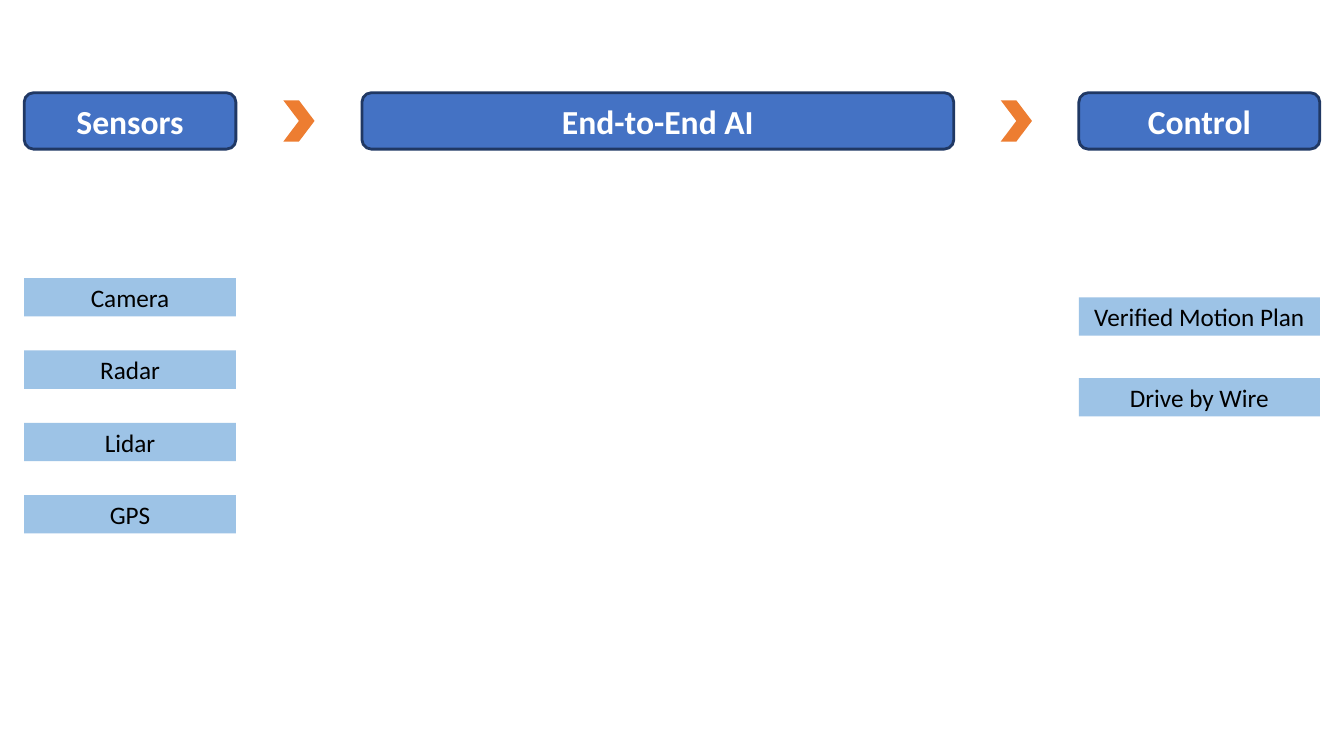
from pptx import Presentation
from pptx.dml.color import RGBColor
from pptx.enum.shapes import MSO_SHAPE
from pptx.enum.text import MSO_ANCHOR, PP_ALIGN
from pptx.util import Inches, Pt

ROUNDED = MSO_SHAPE.ROUNDED_RECTANGLE
RECTANGLE = MSO_SHAPE.RECTANGLE
CHEVRON = MSO_SHAPE.CHEVRON
MIDDLE = MSO_ANCHOR.MIDDLE
CENTER = PP_ALIGN.CENTER

COLORS = {
    "stage": "4472C4",
    "outline": "203864",
    "arrow": "ED7D31",
    "item": "9DC3E6",
    "white": "FFFFFF",
    "black": "000000",
}
BLANK_LAYOUT = 6
STAGE_TOP, STAGE_HEIGHT = 0.92, 0.56
ARROW_WIDTH, ARROW_HEIGHT = 0.31, 0.41
ITEM_HEIGHT = 0.38

# Each stage: title, left, width, top of first item, item pitch, items
STAGES = [
    ("Sensors", 0.24, 2.1, 2.76, 0.717, ["Camera", "Radar", "Lidar", "GPS"]),
    ("End-to-End AI", 3.59, 5.87, 0, 0, []),
    ("Control", 10.7, 2.39, 2.95, 0.8, ["Verified Motion Plan", "Drive by Wire"]),
]


def color(name):
    return RGBColor.from_string(COLORS[name])


def write_text(shape, text, size=18, font_color="black", bold=False, font="Calibri"):
    frame = shape.text_frame
    frame.word_wrap = True
    frame.vertical_anchor = MIDDLE
    paragraph = frame.paragraphs[0]
    paragraph.alignment = CENTER
    run = paragraph.add_run()
    run.text = text
    run.font.name = font
    run.font.size = Pt(size)
    run.font.bold = bold
    run.font.color.rgb = color(font_color)


class PipelineSlide:
    """Holds the slide and draws its stages, arrows and items in one style."""

    def __init__(self, slide):
        self.slide = slide

    def add_shape(self, kind, left, top, width, height, fill):
        shape = self.slide.shapes.add_shape(
            kind, Inches(left), Inches(top), Inches(width), Inches(height))
        shape.shadow.inherit = False
        shape.fill.solid()
        shape.fill.fore_color.rgb = color(fill)
        shape.line.fill.background()
        return shape

    def add_stage(self, title, left, width):
        shape = self.add_shape(ROUNDED, left, STAGE_TOP, width, STAGE_HEIGHT, "stage")
        shape.line.color.rgb = color("outline")
        shape.line.width = Pt(2)
        write_text(shape, title, size=24, font_color="white", bold=True)

    def add_arrow(self, gap_start, gap_end):
        """Centre a chevron in the gap between two stages."""
        left = (gap_start + gap_end - ARROW_WIDTH) / 2
        top = STAGE_TOP + (STAGE_HEIGHT - ARROW_HEIGHT) / 2
        self.add_shape(CHEVRON, left, top, ARROW_WIDTH, ARROW_HEIGHT, "arrow")

    def add_items(self, items, left, width, top, pitch):
        for row, text in enumerate(items):
            shape = self.add_shape(
                RECTANGLE, left, top + row * pitch, width, ITEM_HEIGHT, "item")
            write_text(shape, text)


def main():
    presentation = Presentation()
    presentation.slide_width = Inches(13.33)
    presentation.slide_height = Inches(7.5)
    layout = presentation.slide_layouts[BLANK_LAYOUT]
    pipeline = PipelineSlide(presentation.slides.add_slide(layout))

    for title, left, width, *_ in STAGES:
        pipeline.add_stage(title, left, width)
    for (_, left, width, *_), (_, next_left, *_) in zip(STAGES, STAGES[1:]):
        pipeline.add_arrow(left + width, next_left)
    for _, left, width, top, pitch, items in STAGES:
        pipeline.add_items(items, left, width, top, pitch)

    presentation.save("out.pptx")


if __name__ == "__main__":
    main()
